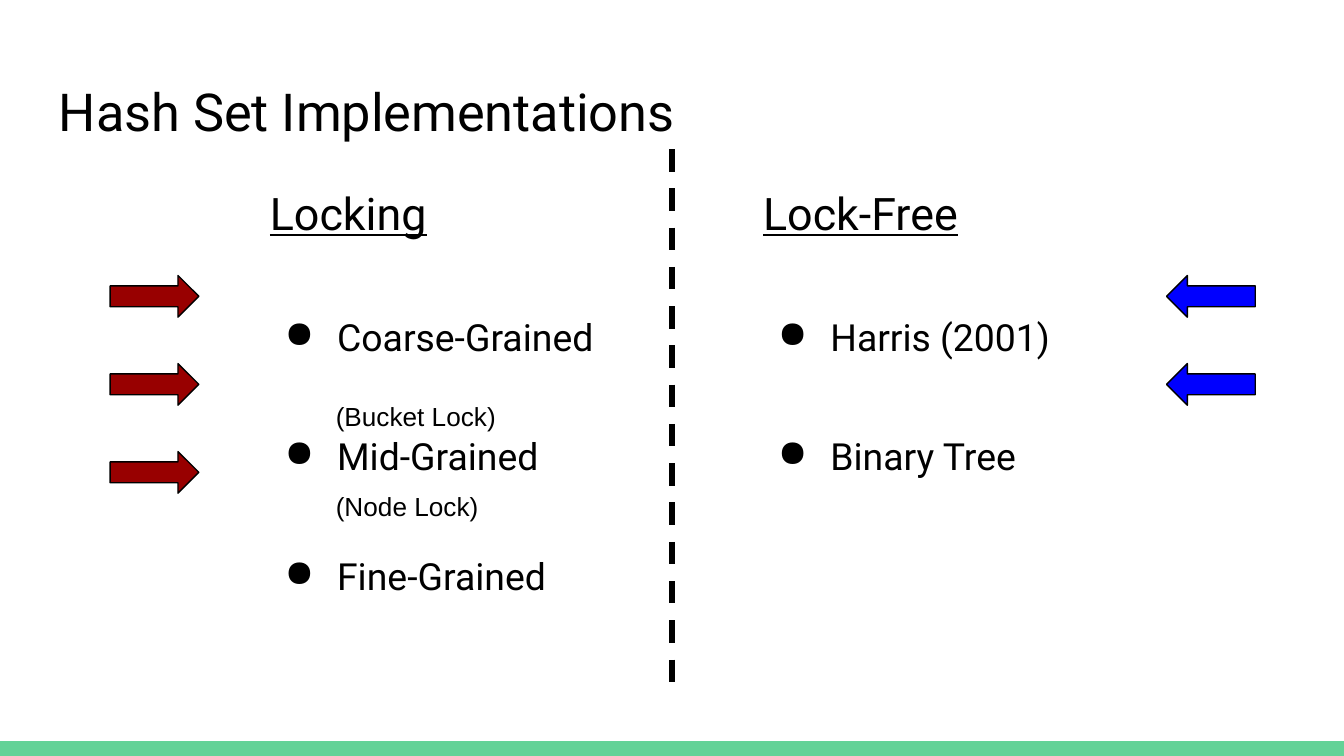
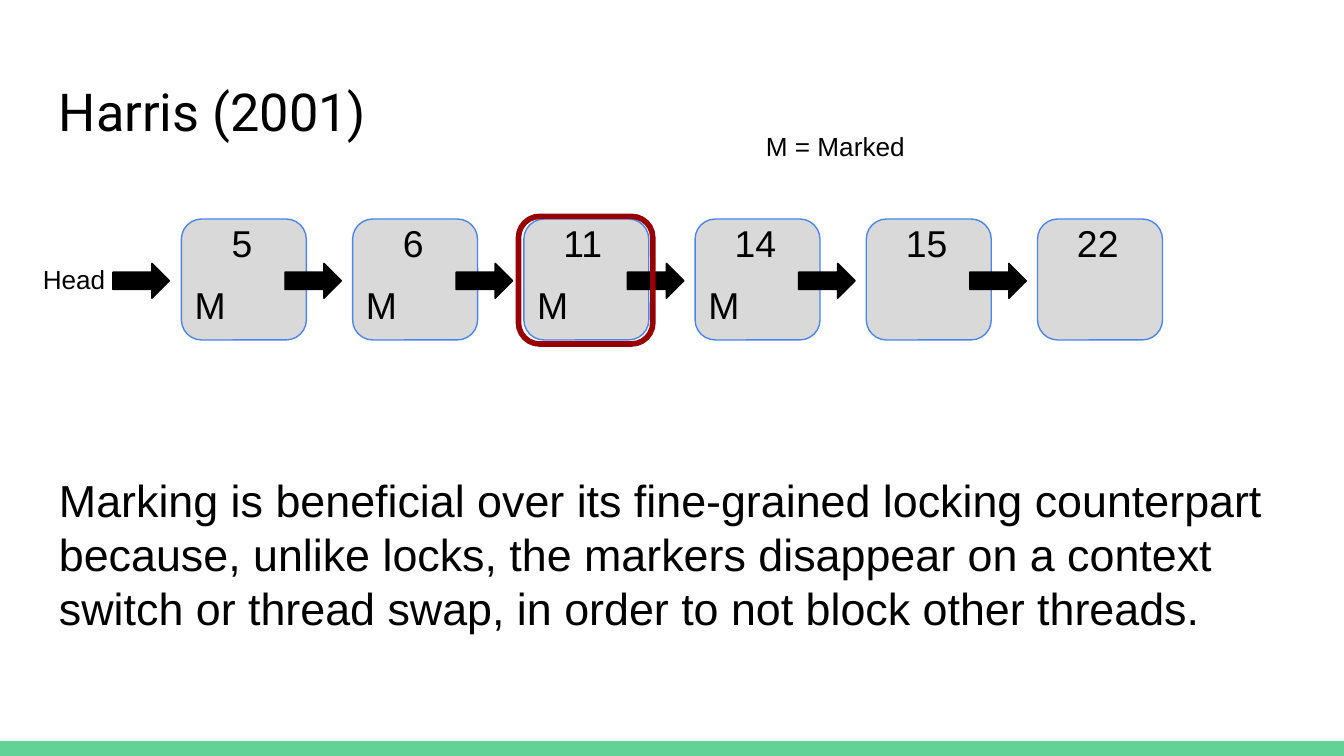
from lxml import etree
from pptx import Presentation
from pptx import util as u
from pptx.dml.color import RGBColor
from pptx.enum import dml, shapes, text
from pptx.oxml import ns

# Grid: 100 square columns across a 16:9 slide, ten to the inch
COLS = 100
ROWS = COLS * 9 / 16
UNIT = u.Inches(0.1)

BLACK = RGBColor(0x00, 0x00, 0x00)
GREEN = RGBColor(0x63, 0xD2, 0x97)
RED = RGBColor(0x98, 0x00, 0x00)
BLUE = RGBColor(0x00, 0x00, 0xFF)
NODE_FILL = RGBColor(0xD9, 0xD9, 0xD9)
NODE_LINE = RGBColor(0x4A, 0x86, 0xE8)
HEADING_FONT, BODY_FONT = "Roboto", "Arial"
SHAPE = shapes.MSO_SHAPE


def grid(*cells):
    return [u.Emu(round(c * UNIT)) for c in cells]


def style(p, size, font, underline=False):
    for r in p.runs:
        r.font.size = u.Pt(size)
        r.font.name = font
        r.font.color.rgb = BLACK
        r.font.underline = underline


def add_frame(s, box):
    tf = s.shapes.add_textbox(*grid(*box)).text_frame
    tf.word_wrap = True
    tf.vertical_anchor = text.MSO_ANCHOR.TOP
    tf.margin_left = tf.margin_right = tf.margin_top = tf.margin_bottom = UNIT
    return tf


def add_text(s, box, words, size, font=BODY_FONT):
    tf = add_frame(s, box)
    tf.text = words
    style(tf.paragraphs[0], size, font)


def add_shape(s, kind, box, fill=None, line=None, weight=0.75):
    sp = s.shapes.add_shape(kind, *grid(*box))
    sp.shadow.inherit = False
    if fill is None:
        sp.fill.background()
    else:
        sp.fill.solid()
        sp.fill.fore_color.rgb = fill
    if line is None:
        sp.line.fill.background()
    else:
        sp.line.color.rgb = line
        sp.line.width = u.Pt(weight)


def add_bullet(p):
    pPr = p._p.get_or_add_pPr()
    pPr.set("marL", str(u.Inches(0.5)))
    pPr.set("indent", str(-u.Inches(0.39)))
    etree.SubElement(pPr, ns.qn("a:buChar")).set("char", "●")


def add_topic(s, left, heading, items):
    """Underlined heading with a bulleted list below it."""
    tf = add_frame(s, (left, 12.2, 46.5, 37.4))
    for i, words in enumerate([heading, *items]):
        p = tf.add_paragraph() if i else tf.paragraphs[0]
        p.text = words
        p.line_spacing = 2.0 if i else 1.15
        p.space_after = u.Pt(16)
        style(p, 20 if i else 24, HEADING_FONT, underline=not i)
        if i:
            add_bullet(p)


def add_divider(s, x, top, bottom):
    c = s.shapes.add_connector(shapes.MSO_CONNECTOR.STRAIGHT,
                               *grid(x, top, x, bottom))
    c.line.color.rgb = BLACK
    c.line.width = u.Pt(3)
    c.line.dash_style = dml.MSO_LINE.DASH
    etree.SubElement(c._element.spPr, ns.qn("a:effectLst"))


def add_slide(prs, title):
    """Blank slide with the shared bottom band and title."""
    s = prs.slides.add_slide(prs.slide_layouts[6])
    add_shape(s, SHAPE.RECTANGLE, (0, ROWS - 1.1, COLS, 1.1), GREEN)
    add_text(s, (3.4, 4.9, 93.2, 6.3), title, 28, HEADING_FONT)
    return s


def build_implementations(prs):
    s = add_slide(prs, "Hash Set Implementations")
    add_topic(s, 19.1, "Locking",
              ["Coarse-Grained", "Mid-Grained", "Fine-Grained"])
    add_divider(s, COLS / 2, 11.1, 51.9)
    add_topic(s, 55.8, "Lock-Free", ["Harris (2001)", "Binary Tree"])

    # Arrows pointing inward from both margins
    for kind, left, color, count in ((SHAPE.RIGHT_ARROW, 8.2, RED, 3),
                                     (SHAPE.LEFT_ARROW, 86.8, BLUE, 2)):
        for i in range(count):
            add_shape(s, kind, (left, 20.5 + 6.55 * i, 6.6, 3.1), color, BLACK)

    for top, words in ((28.8, "(Bucket Lock)"), (35.5, "(Node Lock)")):
        add_text(s, (24, top, 16.8, 2.6), words, 14)


def build_harris(prs):
    s = add_slide(prs, "Harris (2001)")
    values = ["5", "6", "11", "14", "15", "22"]
    marked = 4
    lefts = [13.5 + 12.74 * i for i in range(len(values))]

    # Linked list: nodes, then the arrows between them
    for x in lefts:
        add_shape(s, SHAPE.ROUNDED_RECTANGLE, (x, 16.3, 9.3, 9),
                  NODE_FILL, NODE_LINE)
    for x in [8.4] + [x + 7.7 for x in lefts[:-1]]:
        add_shape(s, SHAPE.RIGHT_ARROW, (x, 19.6, 4.2, 2.6), BLACK, BLACK)
    add_text(s, (2.2, 18.6, 7, 4.6), "Head", 14)

    # Highlight around the third node
    add_shape(s, SHAPE.ROUNDED_RECTANGLE, (lefts[2] - 0.4, 16.1, 10, 9.5),
              line=RED, weight=3)

    # Values and marks
    for x, value in zip(lefts, values):
        inset, width = (2.75, 3.6) if len(value) == 1 else (1.95, 5.5)
        add_text(s, (x + inset, 15.4, width, 3.5), value, 20)
    for x in lefts[:marked]:
        add_text(s, (x, 20, 5.5, 5.4), "M", 20)

    add_text(s, (56, 8.7, 14.9, 4.6), "M = Marked", 14)
    add_text(s, (3.4, 34.2, 91.9, 18.3),
             "Marking is beneficial over its fine-grained locking counterpart "
             "because, unlike locks, the markers disappear on a context switch "
             "or thread swap, in order to not block other threads.", 24)


def main():
    prs = Presentation()
    prs.slide_width, prs.slide_height = grid(COLS, ROWS)
    build_implementations(prs)
    build_harris(prs)
    prs.save("out.pptx")


if __name__ == "__main__":
    main()
